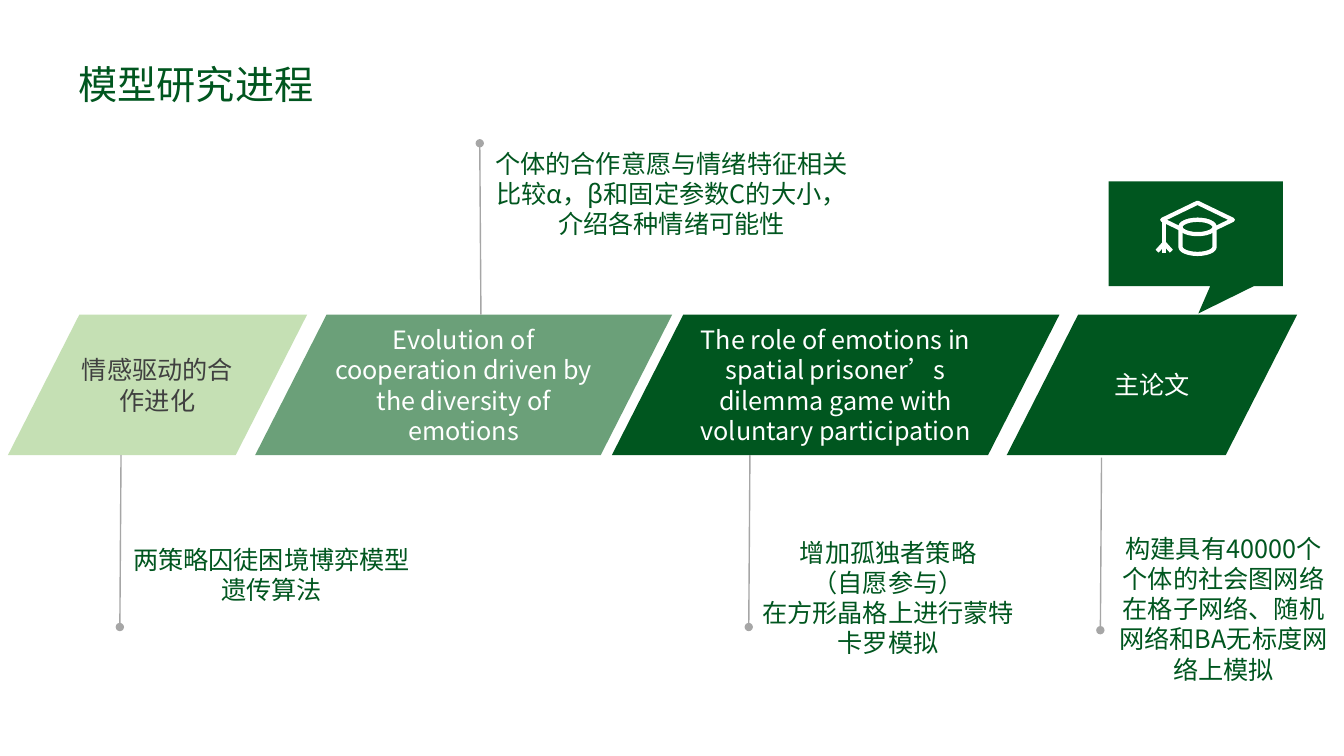
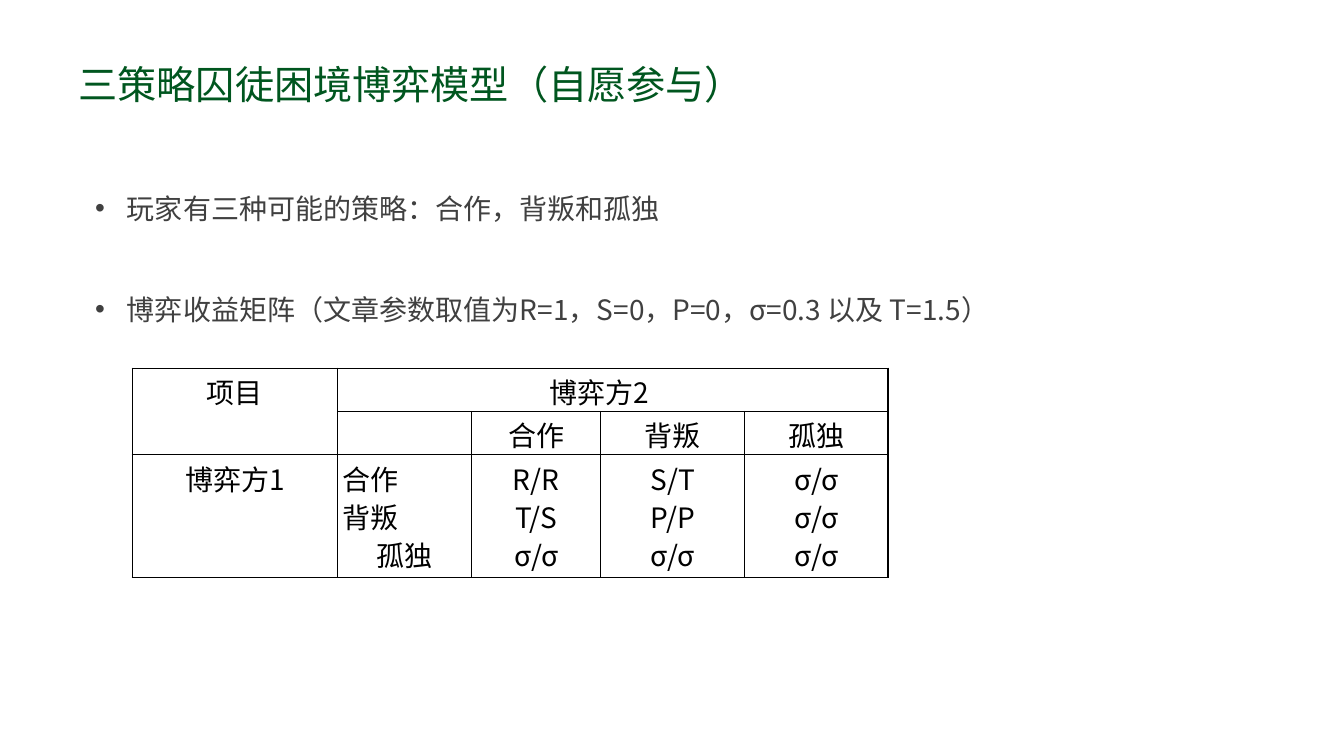
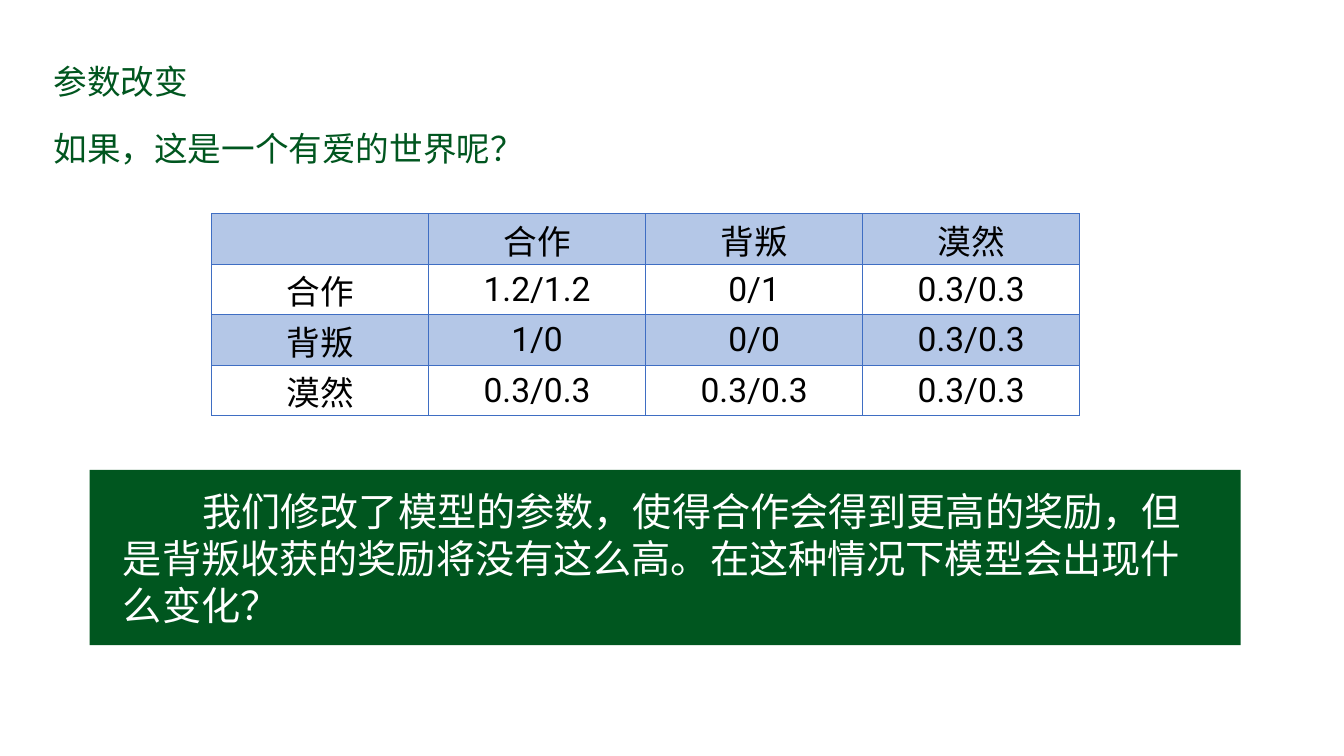
from math import cos, pi, sin

from lxml import etree
from pptx import Presentation
from pptx.dml.color import RGBColor
from pptx.enum.shapes import MSO_CONNECTOR, MSO_SHAPE
from pptx.enum.text import MSO_ANCHOR, MSO_AUTO_SIZE, PP_ALIGN
from pptx.oxml.ns import qn
from pptx.util import Cm, Pt

LEFT, MID = PP_ALIGN.LEFT, PP_ALIGN.CENTER
TOP, CORE = MSO_ANCHOR.TOP, MSO_ANCHOR.MIDDLE
FIXED = MSO_AUTO_SIZE.NONE
LINE = MSO_CONNECTOR.STRAIGHT
RECT, OVAL, DIAMOND = MSO_SHAPE.RECTANGLE, MSO_SHAPE.OVAL, MSO_SHAPE.DIAMOND

GREEN, SAGE, PALE = "00561F", "6BA079", "C5E0B4"
WHITE, BLACK, INK, GREY = "FFFFFF", "000000", "404040", "A6A6A6"
BLUE, SKY = "3F6EC3", "B4C7E7"
SANS, ROBOTO = "Noto Sans CJK SC", "Roboto"
INSET = 0.13
LEAD = 1.2  # line pitch as a multiple of the text size


def rgb(code):
    return RGBColor.from_string(code)


class Deck:
    """Holds the shared style and the slide being built."""

    def __init__(self):
        self.prs = Presentation()
        self.prs.slide_width, self.prs.slide_height = Cm(33.87), Cm(19.05)
        self.slide = None

    def page(self, title, left=1.85, size=28, layout=5):
        self.slide = self.prs.slides.add_slide(self.prs.slide_layouts[layout])
        head = self.slide.shapes.title
        self.place(head, left, 1.4, 29, 1.6)
        self.label(head.text_frame, [title], size, GREEN)

    def place(self, shape, left, top, width, height):
        spot = dict(left=left, top=top, width=width, height=height)
        for key, val in spot.items():
            setattr(shape, key, Cm(val))

    def fill(self, para, text, size, color, font=SANS, align=LEFT, lead=None):
        para.alignment = align
        para.line_spacing = Pt(lead or round(size * LEAD, 2))
        para.space_before = para.space_after = Pt(0)
        run = para.add_run()
        run.text = text
        look = dict(size=Pt(size), name=font, bold=False)
        for key, val in look.items():
            setattr(run.font, key, val)
        run.font.color.rgb = rgb(color)
        east = etree.SubElement(run._r.get_or_add_rPr(), qn("a:ea"))
        east.set("typeface", SANS)

    def label(self, frame, lines, size, color, font=SANS, align=LEFT,
              anchor=TOP, sides=(INSET, INSET), top=INSET):
        form = dict(word_wrap=True, auto_size=FIXED, vertical_anchor=anchor,
                    margin_left=Cm(sides[0]), margin_right=Cm(sides[1]),
                    margin_top=Cm(top), margin_bottom=Cm(INSET))
        for key, val in form.items():
            setattr(frame, key, val)
        for num, text in enumerate(lines):
            para = frame.add_paragraph() if num else frame.paragraphs[0]
            self.fill(para, text, size, color, font, align)

    def note(self, spot, lines, size=18, align=MID):
        box = self.slide.shapes.add_textbox(*map(Cm, spot))
        self.label(box.text_frame, lines, size, GREEN, align=align)

    def paint(self, shape, color, edge=None):
        shape.shadow.inherit = False
        if color:
            shape.fill.solid()
            shape.fill.fore_color.rgb = rgb(color)
        else:
            shape.fill.background()
        if edge:
            shape.line.color.rgb = rgb(edge)
            shape.line.width = Pt(3)
        else:
            shape.line.fill.background()
        return shape

    def shape(self, kind, spot, color, edge=None):
        item = self.slide.shapes.add_shape(kind, *map(Cm, spot))
        return self.paint(item, color, edge)

    def outline(self, dots, color, edge=None):
        dots = [(Cm(x), Cm(y)) for x, y in dots]
        pen = self.slide.shapes.build_freeform(*dots[0])
        pen.add_line_segments(dots[1:], close=True)
        return self.paint(pen.convert_to_shape(), color, edge)

    def line(self, start, end, color=GREY, width=1, tail=None):
        item = self.slide.shapes.add_connector(
            LINE, *map(Cm, (*start, *end)))
        item.line.color.rgb = rgb(color)
        item.line.width = Pt(width)
        props = item._element.spPr
        if tail:
            mark = etree.SubElement(props.find(qn("a:ln")), qn("a:tailEnd"))
            mark.set("type", tail)
        etree.SubElement(props, qn("a:effectLst"))

    def bullets(self, spot, lines, size, gap):
        body = self.slide.placeholders[1]
        self.place(body, *spot)
        self.label(body.text_frame, lines, size, INK, sides=(0, 0), top=0)
        for num, para in enumerate(body.text_frame.paragraphs):
            para.line_spacing = Pt(gap)
            para.space_before = Pt(gap if num else 0)
            props = para._p.get_or_add_pPr()
            props.set("marL", str(Cm(1.2)))
            props.set("indent", str(Cm(-0.8)))
            etree.SubElement(props, qn("a:buChar")).set("char", "•")

    def border(self, cell, color, width):
        props = cell._tc.get_or_add_tcPr()
        for side in ("lnL", "lnR", "lnT", "lnB"):
            edge = etree.SubElement(props, qn("a:" + side), w=str(Pt(width)))
            paint = etree.SubElement(edge, qn("a:solidFill"))
            etree.SubElement(paint, qn("a:srgbClr"), val=color)

    def table(self, spot, cols, rows, cells, size, font, edge, lead,
              spans=(), bands=()):
        item = self.slide.shapes.add_table(
            len(rows), len(cols), *map(Cm, (*spot, sum(cols), sum(rows))))
        grid = item.table
        grid.first_row = grid.horz_banding = False
        for col, width in zip(grid.columns, cols):
            col.width = Cm(width)
        for row, height in zip(grid.rows, rows):
            row.height = Cm(height)
        form = dict(margin_left=Cm(INSET), margin_right=Cm(INSET),
                    margin_top=Cm(INSET), margin_bottom=0)
        for i, texts in enumerate(cells):
            for j, text in enumerate(texts):
                cell = grid.cell(i, j)
                for key, val in form.items():
                    setattr(cell, key, val)
                self.border(cell, *edge)
                if i in bands:
                    cell.fill.solid()
                    cell.fill.fore_color.rgb = rgb(SKY)
                else:
                    cell.fill.background()
                frame = cell.text_frame
                for num, part in enumerate(text.split("\n") if text else ()):
                    para = frame.add_paragraph() if num else frame.paragraphs[0]
                    plain = font == ROBOTO and part.isascii()
                    self.fill(para, part, size, BLACK, font, MID,
                              None if plain else lead)
        for first, last in spans:
            grid.cell(*first).merge(grid.cell(*last))
        return grid


def cap(deck, mid):
    """Graduation cap in white strokes on the callout."""
    deck.shape(DIAMOND, (mid - 0.89, 5.11, 1.78, 0.86), None, WHITE)
    wide, tall, brim, base = 0.43, 0.18, 5.72, 6.22
    turns = [pi * k / 12 for k in range(13)]
    dots = [(mid + wide * cos(a), base + tall * sin(a)) for a in turns]
    dots += [(mid - wide * cos(a), brim - tall * sin(a)) for a in turns]
    deck.outline(dots, GREEN, WHITE)
    deck.shape(OVAL, (mid - wide, brim - tall, 2 * wide, 2 * tall),
               GREEN, WHITE)
    cord = mid - 0.84
    deck.line((cord, 5.54), (cord, 6.38), WHITE, 3)
    for side in (-0.18, 0.18):
        deck.line((cord, 6.13), (cord + side, 6.33), WHITE, 3)


def steps(deck):
    deck.page("模型研究进程")
    # Slanted bands: left, width, side inset, fill, text colour, text
    top, base, slant = 7.93, 11.47, 1.8
    bands = [
        (0.2, 7.54, 1.63, PALE, INK, "情感驱动的合作进化"),
        (6.43, 10.51, 1.88, SAGE, WHITE,
         "Evolution of cooperation driven by the diversity of emotions"),
        (15.42, 11.28, 1.93, GREEN, WHITE,
         "The role of emotions in spatial prisoner’s dilemma game with "
         "voluntary participation"),
        (25.37, 7.32, 1.63, GREEN, WHITE, "主论文"),
    ]
    for left, width, inset, color, ink, text in bands:
        end = left + width
        band = deck.outline([(left, base), (left + slant, top), (end, top),
                             (end - slant, base)], color)
        deck.label(band.text_frame, [text], 18, ink, align=MID, anchor=CORE,
                   sides=(inset, inset))
    # Stems with a dot at the far end
    for x, start, end in [(3.05, base, 15.8), (12.12, top, 3.61),
                          (18.9, base, 15.8), (27.76, 11.53, 15.88)]:
        deck.line((x, start), (x - 0.03, end), tail="oval")
    # Notes beside the stems
    deck.note((3.15, 13.58, 7.39, 2), ["两策略囚徒困境博弈模型", "遗传算法"])
    deck.note((12.24, 3.6, 9.37, 2.9),
              ["个体的合作意愿与情绪特征相关",
               "比较α，β和固定参数C的大小，介绍各种情绪可能性"])
    deck.note((19, 13.4, 6.76, 3.78),
              ["增加孤独者策略", "（自愿参与）",
               "在方形晶格上进行蒙特卡罗模拟"])
    deck.note((27.94, 13.3, 5.79, 4.67),
              ["构建具有40000个个体的社会图网络",
               "在格子网络、随机网络和BA无标度网络上模拟"])
    # Callout
    deck.outline([(27.94, 4.57), (32.33, 4.57), (32.33, 7.21), (31.6, 7.21),
                  (30.2, 7.9), (30.5, 7.21), (27.94, 7.21)], GREEN)
    cap(deck, 30.18)


def matrix(deck):
    deck.page("三策略囚徒困境博弈模型（自愿参与）", layout=1)
    deck.bullets((2, 4.4, 29.87, 4),
                 ["玩家有三种可能的策略：合作，背叛和孤独",
                  "博弈收益矩阵（文章参数取值为R=1，S=0，P=0，σ=0.3 以及 T=1.5）"],
                 20, 36)
    # Payoff matrix
    cells = [
        ("项目", "博弈方2", "", "", ""),
        ("", "", "合作", "背叛", "孤独"),
        ("博弈方1", "合作\n背叛\n孤独", "R/R\nT/S\nσ/σ", "S/T\nP/P\nσ/σ",
         "σ/σ\nσ/σ\nσ/σ"),
    ]
    grid = deck.table((3.33, 9.28), (5.18, 3.38, 3.25, 3.63, 3.61),
                      (1.09, 1.09, 3.1), cells, 20, SANS, (BLACK, 1), 27.2,
                      spans=[((0, 0), (1, 0)), ((0, 1), (0, 4))])
    grid.cell(0, 1).margin_right = Cm(0.8)
    for para in grid.cell(2, 1).text_frame.paragraphs[:2]:
        para.alignment = LEFT


def change(deck):
    deck.page("参数改变", left=1.22, size=24)
    deck.note((1.22, 3.1, 15.93, 1.42), ["如果，这是一个有爱的世界呢？"],
              24, LEFT)
    # Changed payoffs
    cells = [
        ("", "合作", "背叛", "漠然"),
        ("合作", "1.2/1.2", "0/1", "0.3/0.3"),
        ("背叛", "1/0", "0/0", "0.3/0.3"),
        ("漠然", "0.3/0.3", "0.3/0.3", "0.3/0.3"),
    ]
    deck.table((5.33, 5.38), [5.47] * 4, [1.27] * 4, cells, 24, ROBOTO,
               (BLUE, 0.75), 32.4, bands=(0, 2))
    # Closing question
    panel = deck.shape(RECT, (2.26, 11.84, 29.01, 4.42), GREEN)
    deck.label(panel.text_frame,
               ["我们修改了模型的参数，使得合作会得到更高的奖励，但是背叛收获的"
                "奖励将没有这么高。在这种情况下模型会出现什么变化？"],
               28, WHITE, ROBOTO, sides=(0.84, 0.89), top=0.44)
    props = panel.text_frame.paragraphs[0]._p.get_or_add_pPr()
    props.set("indent", str(Cm(2)))


def main():
    deck = Deck()
    for build in (steps, matrix, change):
        build(deck)
    deck.prs.save("out.pptx")


if __name__ == "__main__":
    main()
